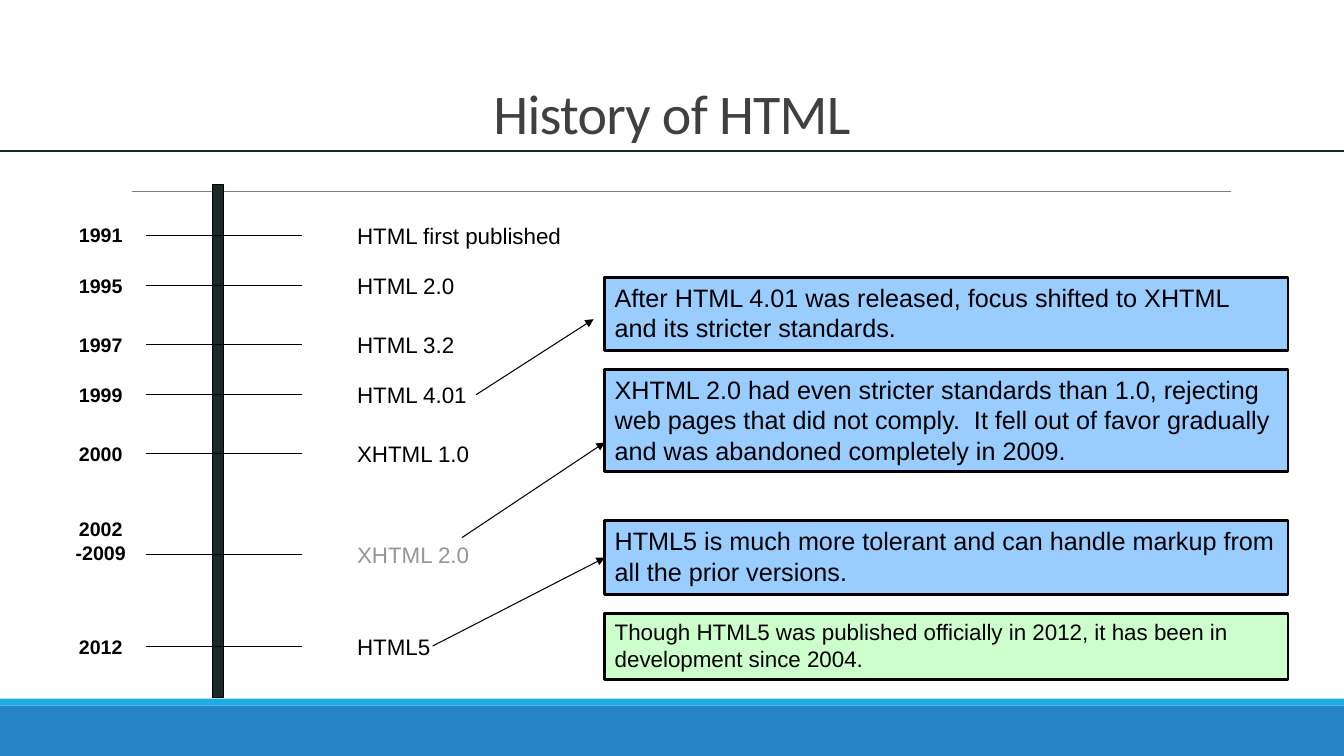
from dataclasses import dataclass

from lxml.etree import SubElement
from pptx import Presentation
from pptx.dml.color import RGBColor as RGB
from pptx.enum.shapes import MSO_CONNECTOR as CONN, MSO_SHAPE as SHAPE
from pptx.enum.text import MSO_ANCHOR as ANCHOR, MSO_AUTO_SIZE as AUTOSIZE, PP_ALIGN as ALIGN
from pptx.oxml.ns import qn
from pptx.shapes.autoshape import Shape
from pptx.shapes.connector import Connector
from pptx.slide import Slide
from pptx.text.text import TextFrame
from pptx.util import Pt


@dataclass(frozen=True)
class Theme:
    heading_font: str = "Calibri"
    font: str = "Arial"
    title_size: float = 40
    note_size: float = 18
    label_size: float = 16
    year_size: float = 14
    title: str = "404040"
    text: str = "000000"
    muted: str = "969696"
    dark: str = "182928"
    rule: str = "808080"
    band: str = "2683C6"
    stripe: str = "1CADE4"
    blue: str = "99CCFF"
    green: str = "CCFFCC"


@dataclass(frozen=True)
class Milestone:
    year: str
    label: str
    y: float
    color: str
    year_rise: float = 12


@dataclass(frozen=True)
class Note:
    text: str
    top: float
    height: float
    fill: str
    size: float


@dataclass(frozen=True)
class Line:
    x1: float
    y1: float
    x2: float
    y2: float
    color: str
    width: float = 0.75


T = Theme()
WIDTH, HEIGHT = 960, 540

MILESTONES = [
    Milestone("1991", "HTML first published", 168, T.text),
    Milestone("1995", "HTML 2.0", 204, T.text),
    Milestone("1997", "HTML 3.2", 246, T.text),
    Milestone("1999", "HTML 4.01", 282, T.text),
    Milestone("2000", "XHTML 1.0", 324, T.text),
    Milestone("2002 -2009", "XHTML 2.0", 396, T.muted, 30),
    Milestone("2012", "HTML5", 462, T.text),
]

XHTML_SHIFT = Note(
    "After HTML 4.01 was released, focus shifted to XHTML and its stricter standards.",
    198, 52.6, T.blue, T.note_size)
XHTML_2 = Note(
    "XHTML 2.0 had even stricter standards than 1.0, rejecting web pages that did not comply.  "
    "It fell out of favor gradually and was abandoned completely in 2009.",
    264, 72.7, T.blue, T.note_size)
HTML5 = Note(
    "HTML5 is much more tolerant and can handle markup from all the prior versions.",
    372, 52.6, T.blue, T.note_size)
HTML5_DATES = Note(
    "Though HTML5 was published officially in 2012, it has been in development since 2004.",
    438, 47.5, T.green, T.label_size)


def write(tf: TextFrame, text: str, size: float, color: str = T.text, name: str = T.font,
          bold: bool = False, align: ALIGN = ALIGN.LEFT, anchor: ANCHOR = ANCHOR.TOP) -> None:
    frame = {"word_wrap": True, "auto_size": AUTOSIZE.NONE, "vertical_anchor": anchor}
    for key, value in frame.items():
        setattr(tf, key, value)
    p = tf.paragraphs[0]
    p.alignment = align
    r = p.add_run()
    r.text = text
    for key, value in {"name": name, "size": Pt(size), "bold": bold}.items():
        setattr(r.font, key, value)
    r.font.color.rgb = RGB.from_string(color)


def add_rect(s: Slide, x: float, y: float, w: float, h: float, fill: str,
             border: float = 0) -> Shape:
    sp = s.shapes.add_shape(SHAPE.RECTANGLE, Pt(x), Pt(y), Pt(w), Pt(h))
    sp.shadow.inherit = False
    sp.fill.solid()
    sp.fill.fore_color.rgb = RGB.from_string(fill)
    if border:
        sp.line.color.rgb = RGB.from_string(T.text)
        sp.line.width = Pt(border)
    else:
        sp.line.fill.background()
    return sp


def add_line(s: Slide, line: Line, arrow: bool = False) -> Connector:
    cx = s.shapes.add_connector(CONN.STRAIGHT, Pt(line.x1), Pt(line.y1), Pt(line.x2), Pt(line.y2))
    cx.line.color.rgb = RGB.from_string(line.color)
    cx.line.width = Pt(line.width)
    if arrow:
        SubElement(cx.line._get_or_add_ln(), qn("a:tailEnd"), type="triangle")
    SubElement(cx._element.spPr, qn("a:effectLst"))
    return cx


def add_title(s: Slide, text: str) -> None:
    sp = s.shapes.title
    box = {"left": 48, "top": 36, "width": 864, "height": 72}
    for key, value in box.items():
        setattr(sp, key, Pt(value))
    write(sp.text_frame, text, T.title_size, T.title, T.heading_font,
          align=ALIGN.CENTER, anchor=ANCHOR.BOTTOM)
    p = sp.text_frame.paragraphs[0]
    p.line_spacing = 0.85
    p.runs[0].font._element.set("spc", "-50")


def add_milestone(s: Slide, m: Milestone) -> None:
    add_line(s, Line(104, m.y, 216, m.y, T.text))
    year = s.shapes.add_textbox(Pt(40), Pt(m.y - m.year_rise), Pt(64), Pt(18))
    write(year.text_frame, m.year, T.year_size, bold=True, align=ALIGN.CENTER)
    label = s.shapes.add_textbox(Pt(248), Pt(m.y - 18), Pt(296), Pt(36))
    write(label.text_frame, m.label, T.label_size, m.color, anchor=ANCHOR.MIDDLE)


def add_note(s: Slide, note: Note) -> Shape:
    sp = add_rect(s, 432, note.top, 488, note.height, note.fill, 2)
    write(sp.text_frame, note.text, note.size)
    return sp


def main() -> None:
    prs = Presentation()
    prs.slide_width, prs.slide_height = Pt(WIDTH), Pt(HEIGHT)
    s = prs.slides.add_slide(prs.slide_layouts[5])

    add_rect(s, 0, 504, WIDTH, 36, T.band)
    add_rect(s, 0, 499, WIDTH, 5, T.stripe)
    add_line(s, Line(94.3, 136.8, 879, 136.8, T.rule, 0.5))
    add_title(s, "History of HTML")
    add_line(s, Line(0, 108, WIDTH, 108, T.dark, 1.25))
    add_rect(s, 152, 132, 8, 366, T.dark, 0.75)

    for m in MILESTONES:
        add_milestone(s, m)

    html5_box = add_note(s, HTML5)
    for note in (HTML5_DATES, XHTML_SHIFT, XHTML_2):
        add_note(s, note)

    add_line(s, Line(340, 282, 424, 228, T.text), arrow=True)
    add_line(s, Line(330, 384, 432, 316, T.text), arrow=True)
    html5_arrow = add_line(s, Line(309, 461.5, 432, 398.3, T.text), arrow=True)
    html5_arrow.end_connect(html5_box, 1)

    prs.save("out.pptx")


if __name__ == "__main__":
    main()
